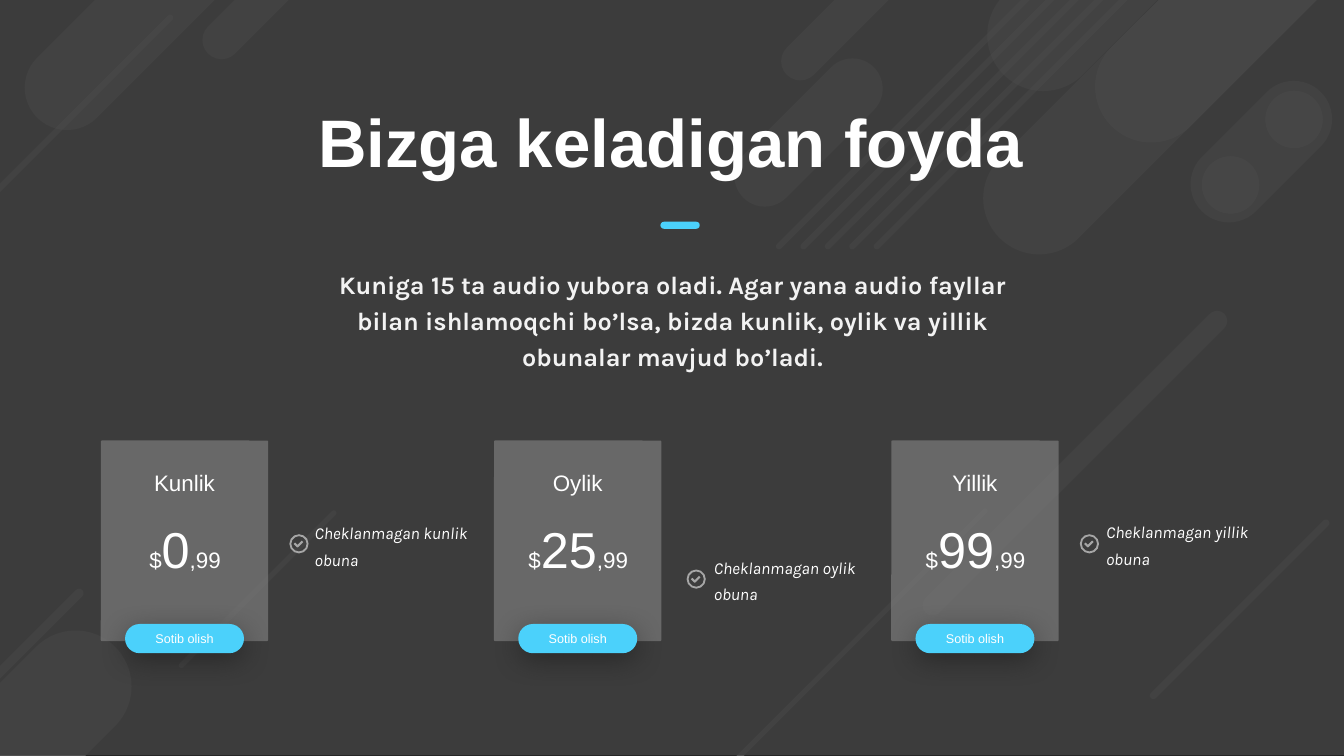
from lxml.etree import SubElement
from pptx import Presentation
from pptx.dml.color import RGBColor
from pptx.enum.shapes import MSO_SHAPE
from pptx.enum.text import MSO_ANCHOR, MSO_AUTO_SIZE, PP_ALIGN
from pptx.oxml.ns import qn
from pptx.util import Inches, Pt

WHITE, ACCENT, ICON_GREY = "FFFFFF", "4BD1FB", "A6A6A6"

# left, top, width, height of the tilted bars
BARS = [
    (11.53, -2.88, 1.11, 6.14), (12.64, -3.99, 1.11, 6.14),
    (11.57, -4.5, 1.11, 6.14), (12.13, 0.67, 0.76, 1.67),
    *[(9.69 + 0.2425 * i, -2.4, 0.06, 5.7) for i in range(5)],
    (-0.06, 6.15, 1.11, 1.83), (0.28, 5.65, 0.09, 1.39),
    (2.53, 4.75, 0.05, 2.19), (8.29, 4.44, 0.05, 4.17),
    (10.56, 2.5, 0.2, 4.19), (7.72, 0.4, 0.6, 1.83),
    (8.26, -0.82, 0.38, 1.83), (2.52, -1.03, 0.38, 1.83),
    (0.97, -1.3, 0.84, 2.89), (0.68, -0.26, 0.06, 2.83),
    (12.26, 4.8, 0.07, 2.49),
]
DOTS = [(12.55, 0.9, 0.57, 0.57), (11.92, 1.55, 0.57, 0.57)]

# card left, name, whole price, icon position, feature, feature position
PLANS = [
    (1, "Kunlik", "0", (2.87, 5.3), "Cheklanmagan kunlik obuna", (3.12, 5.13)),
    (4.9, "Oylik", "25", (6.81, 5.65), "Cheklanmagan oylik obuna", (7.08, 5.47)),
    (8.84, "Yillik", "99", (10.71, 5.3), "Cheklanmagan yillik obuna", (10.97, 5.12)),
]


def rgb(color):
    return RGBColor.from_string(color)


def add_shape(shapes, kind, box, color, alpha=None, adj=None):
    """Add a borderless filled shape; alpha is its opacity in percent."""
    sp = shapes.add_shape(kind, *map(Inches, box))
    sp.shadow.inherit = False
    sp.line.fill.background()
    sp.fill.solid()
    sp.fill.fore_color.rgb = rgb(color)
    if alpha is not None:
        clr = sp.fill._xPr.find(qn("a:solidFill"))[0]
        SubElement(clr, qn("a:alpha"), val=str(alpha * 1000))
    if adj is not None:
        sp.adjustments[0] = adj
    return sp


def set_font(font, size, name="Arial", color=WHITE, bold=None, italic=None):
    font.size = Pt(size)
    font.name = name
    font.color.rgb = rgb(color)
    font.bold = bold
    font.italic = italic


def add_text(shapes, box, text, size, align=PP_ALIGN.CENTER, spacing=None,
             inset=None, **font):
    tf = shapes.add_textbox(*map(Inches, box)).text_frame
    tf.word_wrap = True
    tf.auto_size = MSO_AUTO_SIZE.SHAPE_TO_FIT_TEXT
    if inset is not None:
        tf.margin_left = tf.margin_right = Inches(inset)
        tf.margin_top = tf.margin_bottom = Inches(inset)
    p = tf.paragraphs[0]
    p.alignment = align
    p.line_spacing = spacing
    p.add_run().text = text
    set_font(p.font, size, **font)
    return p


def add_drop_shadow(sp):
    effects = sp._element.spPr.find(qn("a:effectLst"))
    shadow = SubElement(effects, qn("a:outerShdw"), blurRad=str(Pt(20)),
                        dist=str(Pt(5)), dir="5400000", algn="t",
                        rotWithShape="0")
    clr = SubElement(shadow, qn("a:srgbClr"), val="0D0D0D")
    SubElement(clr, qn("a:alpha"), val="40000")


def add_backdrop(shapes):
    group = shapes.add_group_shape().shapes
    for box in BARS:
        sp = add_shape(group, MSO_SHAPE.ROUNDED_RECTANGLE, box, WHITE, 20, 0.5)
        sp.rotation = 45
    for box in DOTS:
        add_shape(group, MSO_SHAPE.OVAL, box, WHITE, 20)
    add_shape(shapes, MSO_SHAPE.RECTANGLE, (0, -0.01, 13.37, 7.5), "404040", 87)


def add_card(shapes, left, name, price):
    group = shapes.add_group_shape().shapes
    add_shape(group, MSO_SHAPE.ROUNDED_RECTANGLE, (left, 4.37, 1.66, 1.99),
              "808080", 65, 0.007)
    add_text(group, (left + 0.24, 4.66, 1.18, 0.33), name, 16, spacing=0.8)
    p = add_text(group, (left + 0.08, 4.97, 1.51, 0.83), "$", 16, spacing=1.2)
    r = p.add_run()
    r.text = price
    r.font.size = Pt(36)
    p.add_run().text = ",99"


def add_check_icon(shapes, left, top):
    add_shape(shapes, MSO_SHAPE.DONUT, (left, top, 0.19, 0.19), ICON_GREY,
              adj=0.1)
    start, *rest = [(Inches(left + dx), Inches(top + dy)) for dx, dy in
                    ((0.05, 0.09), (0.08, 0.12), (0.13, 0.07))]
    builder = shapes.build_freeform(*start)
    builder.add_line_segments(rest, close=False)
    check = builder.convert_to_shape()
    check.shadow.inherit = False
    check.fill.background()
    check.line.color.rgb = rgb(ICON_GREY)
    check.line.width = Pt(1.5)


def add_button(shapes, left):
    sp = add_shape(shapes, MSO_SHAPE.ROUNDED_RECTANGLE,
                   (left, 6.19, 1.18, 0.29), ACCENT, adj=0.5)
    add_drop_shadow(sp)
    tf = sp.text_frame
    tf.vertical_anchor = MSO_ANCHOR.MIDDLE
    p = tf.paragraphs[0]
    p.alignment = PP_ALIGN.CENTER
    p.add_run().text = "Sotib olish"
    set_font(p.font, 9)


def main():
    prs = Presentation()
    prs.slide_width, prs.slide_height = Inches(13.33), Inches(7.5)
    s = prs.slides.add_slide(prs.slide_layouts[6])
    s.background.fill.solid()
    s.background.fill.fore_color.rgb = rgb("262626")
    shapes = s.shapes

    add_backdrop(shapes)
    add_text(shapes, (2.2, 0.95, 8.91, 0.91), "Bizga keladigan foyda", 48,
             bold=True)
    add_shape(shapes, MSO_SHAPE.ROUNDED_RECTANGLE, (6.55, 2.2, 0.39, 0.07),
              ACCENT, adj=0.5)
    add_text(shapes, (2.94, 2.56, 7.46, 1.19),
             "Kuniga 15 ta audio yubora oladi. Agar yana audio fayllar bilan "
             "ishlamoqchi bo’lsa, bizda kunlik, oylik va yillik obunalar "
             "mavjud bo’ladi.",
             18, spacing=1.2, name="Karla", color="F2F2F2", bold=True)

    for left, name, price, icon_at, feature, feature_at in PLANS:
        add_card(shapes, left, name, price)
        add_check_icon(shapes, *icon_at)
        add_text(shapes, (*feature_at, 1.63, 0.53), feature, 12,
                 align=PP_ALIGN.LEFT, spacing=1.3, inset=0, name="Karla",
                 italic=True)
        add_button(shapes, left + 0.24)

    prs.save("out.pptx")


if __name__ == "__main__":
    main()
